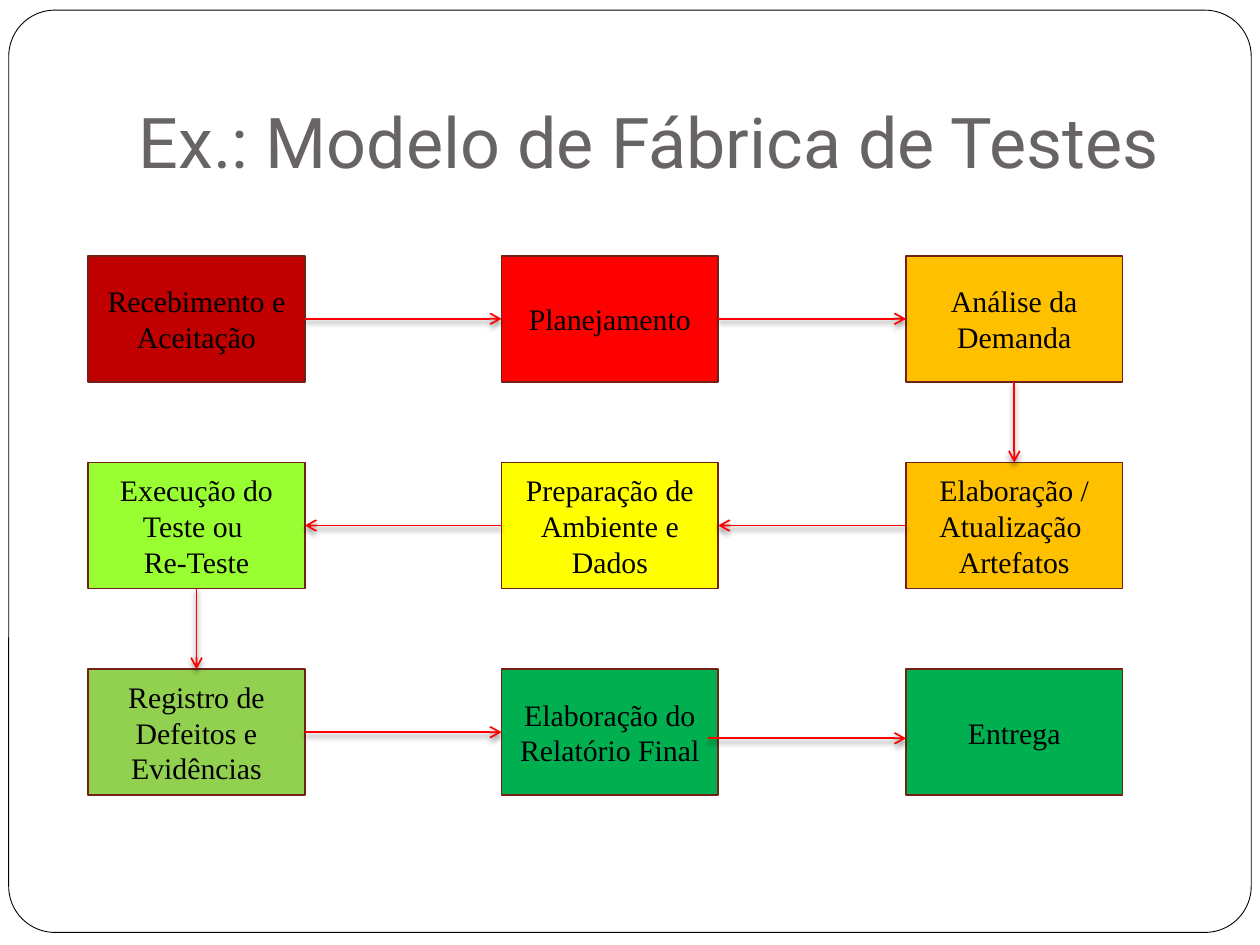
"""Build a slide with the process flow of a test factory."""
from dataclasses import dataclass
from typing import Any

from lxml.etree import SubElement
from pptx import Presentation
from pptx.dml.color import RGBColor
from pptx.enum.shapes import MSO_CONNECTOR, MSO_SHAPE
from pptx.enum.text import MSO_ANCHOR, PP_ALIGN
from pptx.oxml.ns import qn
from pptx.util import Pt


@dataclass(frozen=True)
class Theme:
    """Colours, fonts and type sizes."""
    paper: str = "FFFFFF"
    ink: str = "000000"
    title: str = "696464"
    edge: str = "732117"
    arrow: str = "FF0000"
    head: str = "Roboto"
    body: str = "Times New Roman"
    big: float = 40
    small: float = 17


@dataclass(frozen=True)
class Step:
    """One box of the flow, by grid column and row."""
    col: int
    row: int
    fill: str
    text: str


@dataclass(frozen=True)
class Link:
    """An arrow between two steps, by side index."""
    start: int
    out: int
    end: int
    into: int


THEME = Theme()
COLS = (50.4, 286.6, 517.7)
TOP, PITCH = 146.2, 118.1
WIDE, HIGH = 123.8, 72
LEFT, BELOW, RIGHT, ABOVE = 1, 2, 3, 0

STEPS = (
    Step(0, 0, "C00000", "Recebimento e Aceitação"),
    Step(1, 0, "FF0000", "Planejamento"),
    Step(2, 0, "FFC000", "Análise da Demanda"),
    Step(2, 1, "FFC000", "Elaboração / Atualização  Artefatos"),
    Step(1, 1, "FFFF00", "Preparação de Ambiente e Dados"),
    Step(0, 1, "99FF33", "Execução do Teste ou \nRe-Teste"),
    Step(0, 2, "92D050", "Registro de Defeitos e Evidências"),
    Step(1, 2, "00B050", "Elaboração do Relatório Final"),
    Step(2, 2, "00B050", "Entrega"),
)
LINKS = (
    Link(0, RIGHT, 1, LEFT),
    Link(1, RIGHT, 2, LEFT),
    Link(2, BELOW, 3, ABOVE),
    Link(3, LEFT, 4, RIGHT),
    Link(4, LEFT, 5, RIGHT),
    Link(5, BELOW, 6, ABOVE),
    Link(6, RIGHT, 7, LEFT),
)


def apply(item: Any, form: dict[str, Any]) -> None:
    """Set each attribute named in the format."""
    for name, value in form.items():
        setattr(item, name, value)


def style(para: Any, face: str, size: float, tint: str, align: Any) -> None:
    """Format a paragraph and its font."""
    para.alignment = align
    apply(para.font, {"name": face, "size": Pt(size)})
    para.font.color.rgb = RGBColor.from_string(tint)


def paint(shape: Any, fill: str, edge: str, width: float) -> None:
    """Give a shape a flat fill and an outline."""
    shape.shadow.inherit = False
    shape.fill.solid()
    shape.fill.fore_color.rgb = RGBColor.from_string(fill)
    shape.line.color.rgb = RGBColor.from_string(edge)
    shape.line.width = Pt(width)


def add_frame(slide: Any) -> None:
    """Draw the rounded border behind all else."""
    frame = slide.shapes.add_shape(
        MSO_SHAPE.ROUNDED_RECTANGLE, Pt(5), Pt(5.8), Pt(710), Pt(527))
    frame.adjustments[0] = 0.05
    paint(frame, THEME.paper, THEME.ink, 0.5)
    slide.shapes.title.element.addprevious(frame.element)


def add_title(slide: Any, text: str) -> None:
    """Fill and place the title."""
    title = slide.shapes.title
    apply(title, {"left": Pt(72), "top": Pt(21.6),
                  "width": Pt(612), "height": Pt(90)})
    frame = title.text_frame
    frame.text = text
    apply(frame, {"vertical_anchor": MSO_ANCHOR.BOTTOM, "word_wrap": True,
                  "margin_left": Pt(7.2), "margin_right": Pt(7.2),
                  "margin_top": Pt(3.6), "margin_bottom": Pt(7.2)})
    style(frame.paragraphs[0], THEME.head, THEME.big, THEME.title,
          PP_ALIGN.LEFT)


def add_step(slide: Any, step: Step) -> Any:
    """Draw one box of the flow."""
    box = slide.shapes.add_shape(
        MSO_SHAPE.RECTANGLE, Pt(COLS[step.col]), Pt(TOP + PITCH * step.row),
        Pt(WIDE), Pt(HIGH))
    paint(box, step.fill, THEME.edge, 1)
    frame = box.text_frame
    frame.text = step.text
    apply(frame, {"vertical_anchor": MSO_ANCHOR.MIDDLE, "word_wrap": True})
    for para in frame.paragraphs:
        style(para, THEME.body, THEME.small, THEME.ink, PP_ALIGN.CENTER)
    return box


def add_arrow(slide: Any, x: float = 0, y: float = 0, end: float = 0) -> Any:
    """Draw a level arrow with a soft shadow."""
    line = slide.shapes.add_connector(
        MSO_CONNECTOR.STRAIGHT, Pt(x), Pt(y), Pt(end), Pt(y))
    line.line.color.rgb = RGBColor.from_string(THEME.arrow)
    line.line.width = Pt(1)
    props = line.element.spPr
    SubElement(props.find(qn("a:ln")), qn("a:tailEnd"), type="arrow")
    glow = SubElement(SubElement(props, qn("a:effectLst")),
                      qn("a:outerShdw"), blurRad=str(Pt(3)),
                      dist=str(Pt(2)), dir="5400000", rotWithShape="0")
    tint = SubElement(glow, qn("a:srgbClr"), val=THEME.ink)
    SubElement(tint, qn("a:alpha"), val="50000")
    return line


def main() -> None:
    """Build and save the slide."""
    deck = Presentation()
    apply(deck, {"slide_width": Pt(720), "slide_height": Pt(540)})
    slide = deck.slides.add_slide(deck.slide_layouts[5])
    add_frame(slide)
    add_title(slide, "Ex.: Modelo de Fábrica de Testes")
    boxes = [add_step(slide, step) for step in STEPS]
    for link in LINKS:
        line = add_arrow(slide)
        line.begin_connect(boxes[link.start], link.out)
        line.end_connect(boxes[link.end], link.into)
    add_arrow(slide, 404.6, 421.9, COLS[2])
    deck.save("out.pptx")


if __name__ == "__main__":
    main()
